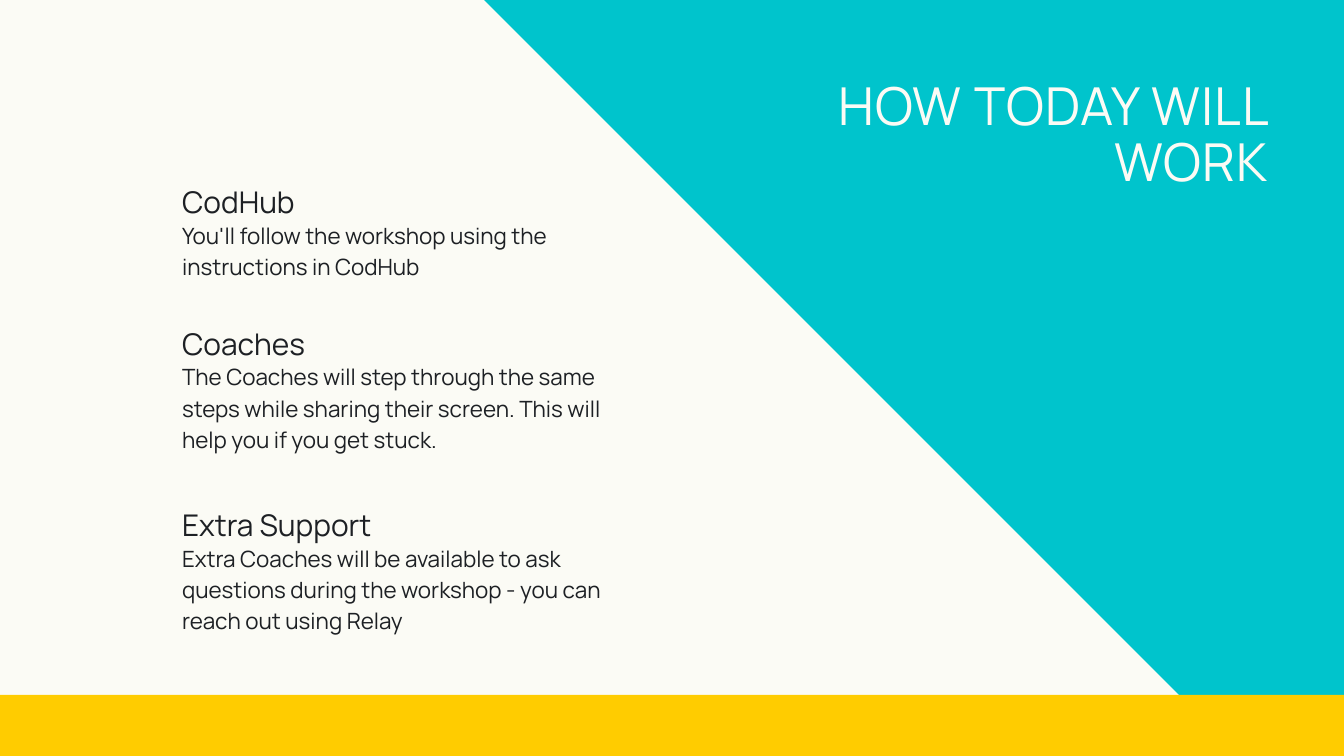
from pptx import Presentation
from pptx.dml.color import RGBColor
from pptx.enum.shapes import MSO_SHAPE as Shape
from pptx.enum.text import MSO_ANCHOR as Anchor, MSO_AUTO_SIZE as Fit, PP_ALIGN as Align
from pptx.util import Inches, Pt

FONT = "Manrope"
TEAL, GOLD, CREAM, INK = "00C4CC", "FFCC00", "FBFBF5", "1D2024"
LEFT, WIDTH = 2.71, 6.47
HEAD, GAP = 0.58, 0.59

TOPICS = [
    (2.65, 0.9, "CodHub", "You'll follow the workshop using the instructions in CodHub"),
    (4.75, 1.36, "Coaches", "The Coaches will step through the same steps while sharing "
     "their screen. This will help you if you get stuck."),
    (7.45, 1.36, "Extra Support", "Extra Coaches will be available to ask questions during "
     "the workshop - you can reach out using Relay"),
]


def color(code):
    return RGBColor.from_string(code)


def add_block(slide, box, fill, turn=0):
    block = slide.shapes.add_shape(Shape.RECTANGLE, *map(Inches, box))
    block.rotation = turn
    block.shadow.inherit = False
    block.fill.solid()
    block.fill.fore_color.rgb = color(fill)
    block.line.fill.background()


def set_text(shape, text, size, lead, tint, align=Align.LEFT):
    frame = shape.text_frame
    frame.text = text
    frame.word_wrap = True
    frame.auto_size = Fit.NONE
    frame.vertical_anchor = Anchor.TOP
    frame.margin_left = frame.margin_right = 0
    frame.margin_top = frame.margin_bottom = 0
    para = frame.paragraphs[0]
    para.alignment = align
    para.line_spacing = Pt(lead)
    para.space_before = Pt(0)
    font = para.runs[0].font
    font.name = FONT
    font.size = Pt(size)
    font.color.rgb = color(tint)


def add_text(slide, top, height, text, size):
    box = slide.shapes.add_textbox(*map(Inches, (LEFT, top, WIDTH, height)))
    set_text(box, text, size, size * 1.4, INK)


def add_topic(slide, top, height, head, body):
    add_text(slide, top, HEAD, head, 32)
    add_text(slide, top + GAP, height, body, 24)


def add_title(slide, text):
    title = slide.shapes.title
    title.left, title.top = Inches(12.4), Inches(1.18)
    title.width, title.height = Inches(WIDTH), Inches(1.7)
    set_text(title, text, 56, 60.5, CREAM, Align.RIGHT)
    run = title.text_frame.paragraphs[0].runs[0]
    run.font._element.set("spc", "120")
    slide.shapes._spTree.append(title._element)


def main():
    deck = Presentation()
    deck.slide_width, deck.slide_height = Inches(20), Inches(11.25)
    slide = deck.slides.add_slide(deck.slide_layouts[5])
    back = slide.background.fill
    back.solid()
    back.fore_color.rgb = color(CREAM)

    add_block(slide, (7.85, -2.31, 17.75, 9.8), TEAL, 45)
    for topic in TOPICS:
        add_topic(slide, *topic)
    add_block(slide, (-0.32, 10.34, 20.55, 1.12), GOLD)
    add_title(slide, "HOW TODAY WILL WORK")
    deck.save("out.pptx")


if __name__ == "__main__":
    main()
